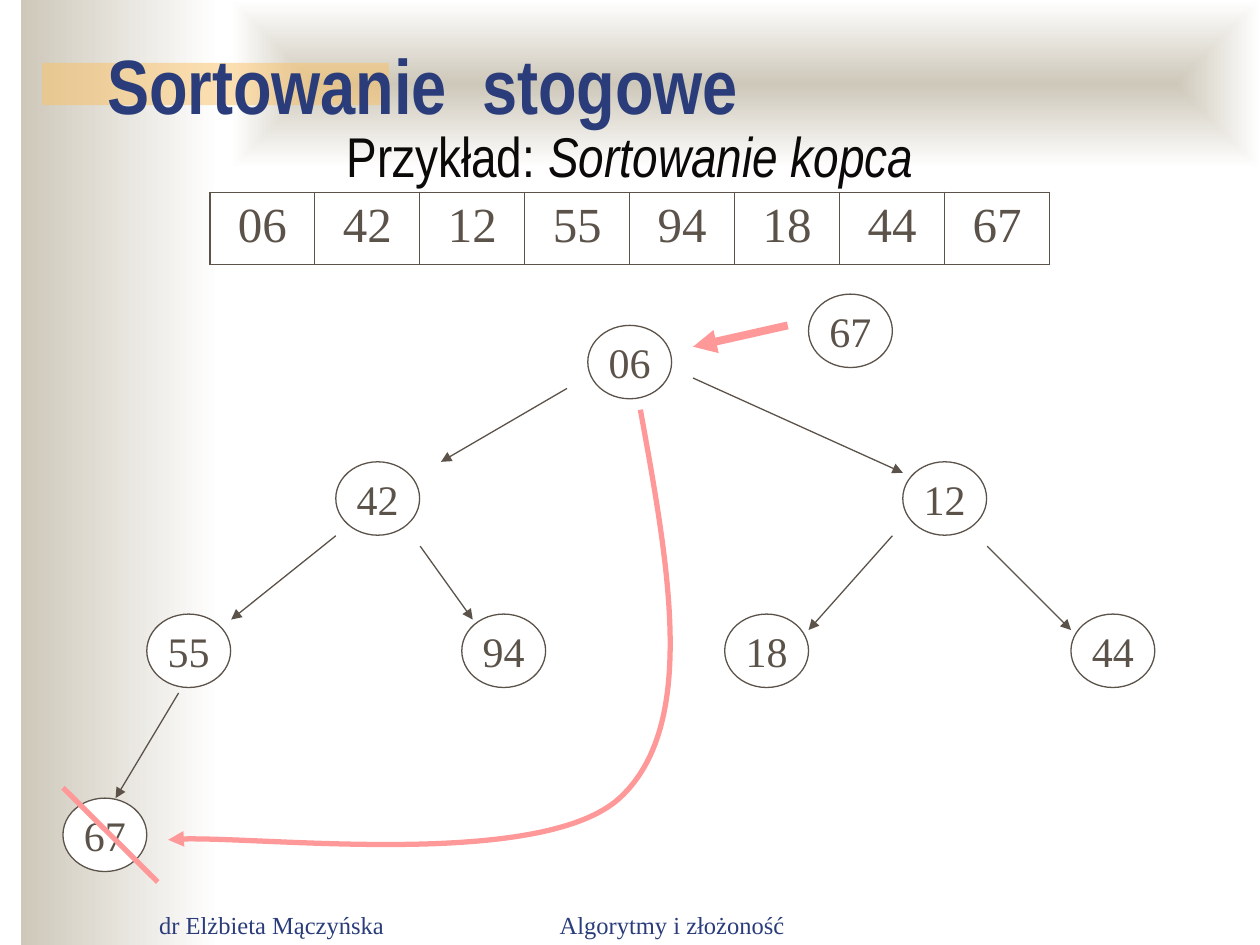
from lxml.etree import SubElement
from pptx import Presentation
from pptx.dml.color import RGBColor
from pptx.enum.shapes import MSO_CONNECTOR, MSO_SHAPE
from pptx.enum.text import MSO_ANCHOR, PP_ALIGN
from pptx.oxml.ns import qn
from pptx.util import Cm, Pt

SERIF, NARROW = "Times New Roman", "Arial Narrow"
INK, NAVY, SAND, PINK, WHITE = "5B5249", "2A3D7A", "CEC8BA", "FF9999", "FFFFFF"
VALUES = ["06", "42", "12", "55", "94", "18", "44", "67"]
NODE_W, NODE_H = 1.69, 1.48

# Left and top of each heap node, in the order of VALUES
NODES = [(11.85, 6.56), (6.77, 9.31), (18.2, 9.31), (2.96, 12.38),
         (9.31, 12.38), (14.61, 12.38), (21.59, 12.38), (1.27, 16.09)]
EDGES = [(11.43, 7.83, 8.89, 9.31), (6.77, 10.8, 4.66, 12.49),
         (3.6, 13.97, 2.33, 16.09), (8.47, 11.01, 9.53, 12.49),
         (13.97, 7.62, 18.2, 9.53), (19.9, 11.01, 21.59, 12.7),
         (17.99, 10.8, 16.3, 12.7)]
# Start point, then two control points and an end point per curve
SWAP_CURVE = [(12.91, 8.26), (13.49, 11.45), (14.07, 14.64), (12.49, 16.09),
              (10.9, 17.53), (4.7, 16.79), (3.39, 16.93)]


def rgb(color):
    return RGBColor.from_string(color)


def add_run(p, text, size, font, color, bold=False, italic=False):
    r = p.add_run()
    r.text = text
    r.font.size, r.font.name = Pt(size), font
    r.font.bold, r.font.italic = bold, italic
    r.font.color.rgb = rgb(color)


def add_text(s, box, runs, align=PP_ALIGN.LEFT, anchor=MSO_ANCHOR.BOTTOM):
    tf = s.shapes.add_textbox(*map(Cm, box)).text_frame
    tf.word_wrap = True
    tf.vertical_anchor = anchor
    p = tf.paragraphs[0]
    p.alignment = align
    for run in runs:
        add_run(p, *run)


def add_block(s, box):
    sp = s.shapes.add_shape(MSO_SHAPE.RECTANGLE, *map(Cm, box))
    sp.shadow.inherit = False
    sp.line.fill.background()
    return sp


def add_gradient_block(s, box, from_center=False):
    fill = add_block(s, box).fill
    fill.gradient()
    fill.gradient_angle = 0
    for stop, color, position in zip(fill.gradient_stops, (SAND, WHITE), (0, 1)):
        stop.color.rgb = rgb(color)
        stop.position = position
    if from_center:
        grad = s.shapes[-1]._element.spPr.find(qn("a:gradFill"))
        lin = grad.find(qn("a:lin"))
        shade = SubElement(grad, qn("a:path"), {"path": "rect"})
        SubElement(shade, qn("a:fillToRect"), dict.fromkeys("ltrb", "50000"))
        grad.replace(lin, shade)


def add_accent_bar(s, box):
    sp = add_block(s, box)
    sp.fill.solid()
    sp.fill.fore_color.rgb = rgb("FAC164")
    color = sp._element.spPr.find(".//" + qn("a:srgbClr"))
    SubElement(color, qn("a:alpha"), {"val": "50000"})


def add_node(s, text, left, top):
    sp = s.shapes.add_shape(MSO_SHAPE.OVAL, Cm(left), Cm(top), Cm(NODE_W), Cm(NODE_H))
    sp.shadow.inherit = False
    sp.fill.solid()
    sp.fill.fore_color.rgb = rgb(WHITE)
    set_line(sp, INK, 0.75)
    tf = sp.text_frame
    tf.word_wrap = False
    tf.vertical_anchor = MSO_ANCHOR.MIDDLE
    p = tf.paragraphs[0]
    p.alignment = PP_ALIGN.CENTER
    add_run(p, text, 24, SERIF, INK)


def set_line(shape, color, width, arrow=False):
    shape.line.color.rgb = rgb(color)
    shape.line.width = Pt(width)
    if arrow:
        ln = shape._element.spPr.find(qn("a:ln"))
        SubElement(ln, qn("a:tailEnd"), {"type": "triangle"})


def add_line(s, ends, color=INK, width=0.75, arrow=True):
    cxn = s.shapes.add_connector(MSO_CONNECTOR.STRAIGHT, *map(Cm, ends))
    set_line(cxn, color, width, arrow)
    SubElement(cxn._element.spPr, qn("a:effectLst"))


def add_curve(s, points, color, width):
    start, *rest = [(Cm(x), Cm(y)) for x, y in points]
    builder = s.shapes.build_freeform(*start)
    builder.add_line_segments(rest, close=False)
    sp = builder.convert_to_shape()
    sp.shadow.inherit = False
    sp.fill.background()
    set_line(sp, color, width, arrow=True)
    # Each three straight segments become one cubic curve
    outline = sp._element.spPr.find(".//" + qn("a:path"))
    segments = outline.findall(qn("a:lnTo"))
    for i in range(0, len(segments), 3):
        cubic = SubElement(outline, qn("a:cubicBezTo"))
        for segment in segments[i:i + 3]:
            cubic.append(segment[0])
            outline.remove(segment)


def add_border(cell, side, width):
    ln = SubElement(cell._tc.get_or_add_tcPr(), qn("a:ln" + side), {"w": str(Pt(width))})
    SubElement(SubElement(ln, qn("a:solidFill")), qn("a:srgbClr"), {"val": INK})


def add_array(s, values, box):
    table = s.shapes.add_table(1, len(values), *map(Cm, box)).table
    table.first_row = table.horz_banding = False
    last = len(values) - 1
    for i, value in enumerate(values):
        cell = table.cell(0, i)
        p = cell.text_frame.paragraphs[0]
        p.alignment = PP_ALIGN.CENTER
        add_run(p, value, 28, SERIF, INK)
        add_border(cell, "L", 1.08 if i == 0 else 0.45)
        add_border(cell, "R", 1.08 if i == last else 0.45)
        add_border(cell, "T", 1.08)
        add_border(cell, "B", 1.08)
        cell.fill.background()


def main():
    prs = Presentation()
    prs.slide_width, prs.slide_height = Cm(25.4), Cm(19.05)
    s = prs.slides.add_slide(prs.slide_layouts[6])

    # Background decoration
    add_gradient_block(s, (0.42, 0, 4.02, 19.05))
    add_gradient_block(s, (4.66, 0, 20.74, 3.39), from_center=True)
    add_accent_bar(s, (0.85, 1.27, 6.99, 0.85))

    # Footer, title and subtitle
    add_text(s, (2.96, 17.8, 5.29, 1.27), [("dr Elżbieta Mączyńska", 14, SERIF, NAVY)])
    add_text(s, (9.53, 17.8, 8.04, 1.27), [("Algorytmy i złożoność", 14, SERIF, NAVY)],
             PP_ALIGN.CENTER)
    add_text(s, (1.91, 0.42, 21.59, 2.33),
             [("Sortowanie  stogowe", 44, NARROW, NAVY, True)])
    add_text(s, (1.91, 2.33, 21.59, 14.4),
             [("Przykład: ", 32, NARROW, "0B0A09"),
              ("Sortowanie kopca", 32, NARROW, "0B0A09", False, True)],
             PP_ALIGN.CENTER, MSO_ANCHOR.TOP)

    # Heap as a tree and as an array
    for value, (left, top) in zip(VALUES, NODES):
        add_node(s, value, left, top)
    add_array(s, VALUES, (4.23, 3.88, 16.93, 1.45))
    for edge in EDGES:
        add_line(s, edge)

    # Swap of the root with the last leaf
    add_line(s, (1.27, 15.88, 3.18, 17.78), PINK, 3, arrow=False)
    add_node(s, VALUES[-1], 16.3, 5.93)
    add_line(s, (15.88, 6.56, 13.97, 6.99), PINK, 4.5)
    add_curve(s, SWAP_CURVE, PINK, 3)

    prs.save("out.pptx")


if __name__ == "__main__":
    main()
